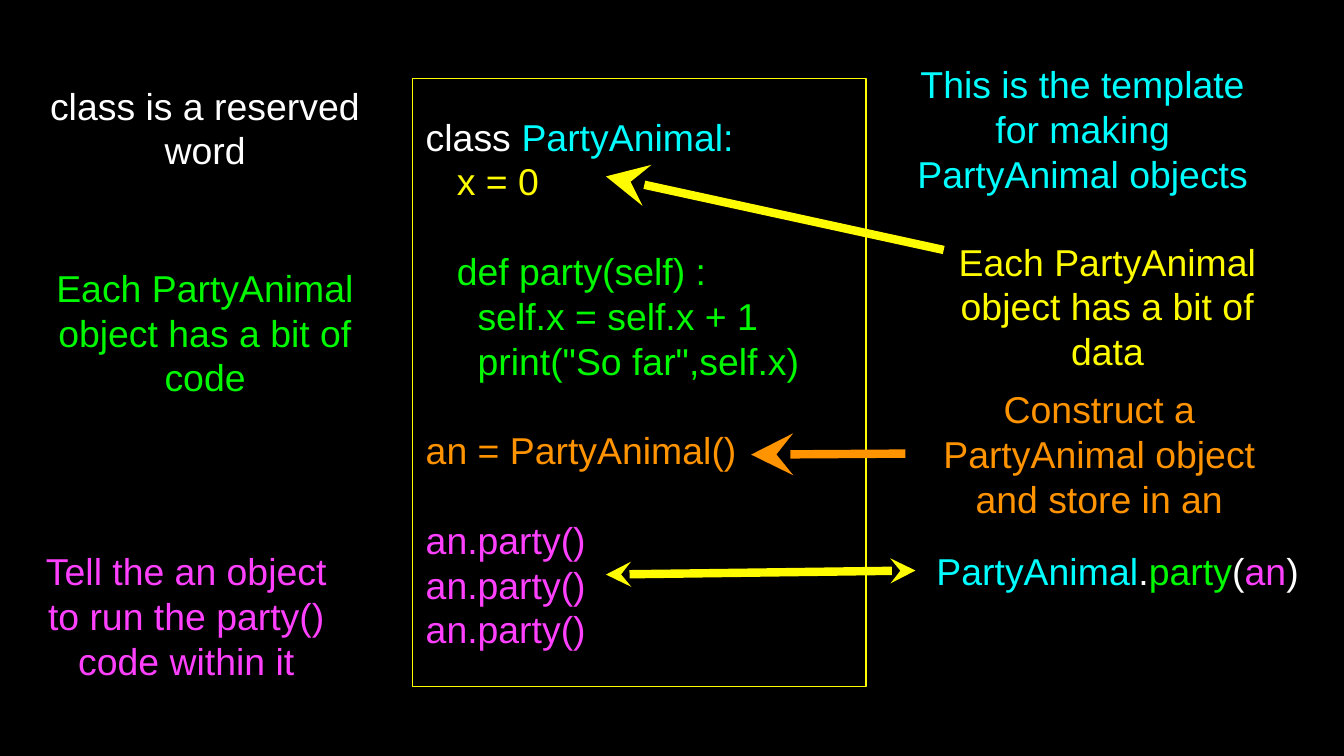
from dataclasses import dataclass

from lxml import etree
from pptx import Presentation
from pptx.dml.color import RGBColor
from pptx.enum.shapes import MSO_CONNECTOR, MSO_SHAPE
from pptx.enum.text import MSO_ANCHOR, PP_ALIGN
from pptx.oxml.ns import qn
from pptx.util import Emu, Pt

LEFT, CENTER = PP_ALIGN.LEFT, PP_ALIGN.CENTER
MIDDLE = MSO_ANCHOR.MIDDLE
RECTANGLE = MSO_SHAPE.RECTANGLE
STRAIGHT = MSO_CONNECTOR.STRAIGHT

BLACK = RGBColor(0x00, 0x00, 0x00)
WHITE = RGBColor(0xFF, 0xFF, 0xFF)
CYAN = RGBColor(0x00, 0xFD, 0xFF)
YELLOW = RGBColor(0xFF, 0xFB, 0x00)
GREEN = RGBColor(0x00, 0xF9, 0x00)
ORANGE = RGBColor(0xFF, 0x93, 0x00)
MAGENTA = RGBColor(0xFF, 0x40, 0xFF)

FONT = "Arial"
TEXT_SIZE = Pt(26.7)
LINE_PITCH = Pt(32)
PX_PER_INCH = 100
INSET = 3

Run = tuple[str, RGBColor]


@dataclass(frozen=True)
class Line:
    runs: tuple[Run, ...]
    gap_above: bool = False


@dataclass(frozen=True)
class Note:
    left: int
    top: int
    width: int
    height: int
    runs: tuple[Run, ...]


@dataclass(frozen=True)
class Arrow:
    start: tuple[int, int]
    end: tuple[int, int]
    color: RGBColor
    head_size: str
    both_ends: bool = False


CODE = (
    Line(((" class ", WHITE), ("PartyAnimal:", CYAN))),
    Line((("    x = 0", YELLOW),)),
    Line((("    def party(self) :", GREEN),), gap_above=True),
    Line((("      self.x = self.x + 1", GREEN),)),
    Line((('      print("So far",self.x)', GREEN),)),
    Line(((" an = PartyAnimal()", ORANGE),), gap_above=True),
    Line(((" an.party()", MAGENTA),), gap_above=True),
    Line(((" an.party()", MAGENTA),)),
    Line(((" an.party()", MAGENTA),)),
)

NOTES = (
    Note(898, 52, 352, 151,
         (("This is the template for making PartyAnimal objects", CYAN),)),
    Note(11, 78, 385, 97, (("class is a reserved word", WHITE),)),
    Note(913, 232, 371, 143,
         (("Each PartyAnimal object has a bit of data", YELLOW),)),
    Note(11, 258, 385, 143,
         (("Each PartyAnimal object has a bit of code", GREEN),)),
    Note(898, 385, 385, 130,
         (("Construct a PartyAnimal object and store in an", ORANGE),)),
    Note(36, 539, 298, 143,
         (("Tell the an object to run the party() code within it", MAGENTA),)),
    Note(908, 539, 401, 54,
         (("PartyAnimal", CYAN), (".", WHITE), ("party", GREEN),
          ("(", WHITE), ("an", MAGENTA), (")", WHITE))),
)

ARROWS = (
    Arrow((601, 175), (936, 248), YELLOW, "lg"),
    Arrow((601, 570), (908, 566), YELLOW, "med", both_ends=True),
    Arrow((745, 451), (898, 450), ORANGE, "lg"),
)


def px(length: int) -> Emu:
    return Emu(length * 914400 // PX_PER_INCH)


def write_lines(frame, lines: tuple[Line, ...], alignment) -> None:
    frame.word_wrap = True
    frame.vertical_anchor = MIDDLE
    frame.margin_left = frame.margin_right = px(INSET)
    frame.margin_top = frame.margin_bottom = px(INSET)
    for index, line in enumerate(lines):
        paragraph = frame.add_paragraph() if index else frame.paragraphs[0]
        paragraph.alignment = alignment
        paragraph.line_spacing = LINE_PITCH
        if line.gap_above:
            paragraph.space_before = LINE_PITCH
        for text, color in line.runs:
            run = paragraph.add_run()
            run.text = text
            run.font.name = FONT
            run.font.size = TEXT_SIZE
            run.font.color.rgb = color


def draw_code(slide) -> None:
    code_box = slide.shapes.add_shape(
        RECTANGLE, px(409), px(78), px(450), px(603))
    code_box.shadow.inherit = False
    code_box.fill.background()
    code_box.line.color.rgb = YELLOW
    code_box.line.width = Pt(1)
    write_lines(code_box.text_frame, CODE, LEFT)


def draw_note(slide, note: Note) -> None:
    note_box = slide.shapes.add_textbox(
        px(note.left), px(note.top), px(note.width), px(note.height))
    write_lines(note_box.text_frame, (Line(note.runs),), CENTER)


def draw_arrow(slide, arrow: Arrow) -> None:
    connector = slide.shapes.add_connector(
        STRAIGHT, *map(px, arrow.start), *map(px, arrow.end))
    connector.line.color.rgb = arrow.color
    connector.line.width = Pt(6)
    properties = connector._element.spPr
    outline = properties.find(qn("a:ln"))
    ends = ("a:headEnd", "a:tailEnd") if arrow.both_ends else ("a:headEnd",)
    for end in ends:
        etree.SubElement(outline, qn(end), type="stealth",
                         w=arrow.head_size, len=arrow.head_size)
    etree.SubElement(properties, qn("a:effectLst"))


def main() -> None:
    presentation = Presentation()
    presentation.slide_width = px(1333)
    presentation.slide_height = px(750)
    slide = presentation.slides.add_slide(presentation.slide_layouts[6])
    slide.background.fill.solid()
    slide.background.fill.fore_color.rgb = BLACK

    # Code listing in the middle
    draw_code(slide)

    # Explanations on both sides
    for note in NOTES:
        draw_note(slide, note)

    # Links from explanations to code
    for arrow in ARROWS:
        draw_arrow(slide, arrow)

    presentation.save("out.pptx")


if __name__ == "__main__":
    main()
